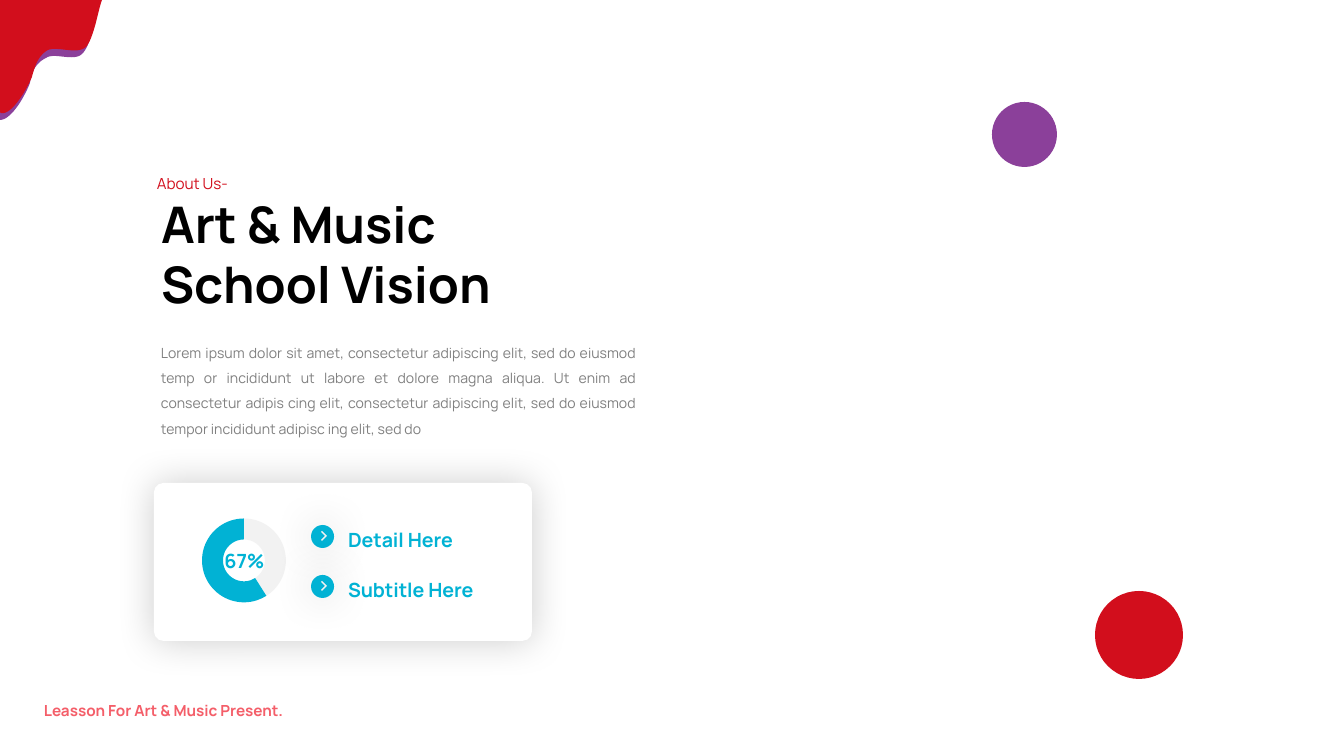
"""Build the Art & Music School vision slide with its detail card."""
from lxml import etree
from pptx import Presentation
from pptx.chart.data import CategoryChartData
from pptx.dml.color import RGBColor
from pptx.enum.chart import XL_CHART_TYPE
from pptx.enum.shapes import MSO_SHAPE
from pptx.enum.text import MSO_AUTO_SIZE, PP_ALIGN
from pptx.oxml.ns import qn
from pptx.util import Emu, Pt

DOUGHNUT = XL_CHART_TYPE.DOUGHNUT
ELLIPSE = MSO_SHAPE.OVAL
ROUNDED = MSO_SHAPE.ROUNDED_RECTANGLE
GROW = MSO_AUTO_SIZE.SHAPE_TO_FIT_TEXT
LEFT, CENTER, JUSTIFY = PP_ALIGN.LEFT, PP_ALIGN.CENTER, PP_ALIGN.JUSTIFY

SCALE = 914400 / 134.4
FONT = "Manrope"
CURVE_STEPS = 16
WIDE_INSETS, TIGHT_INSETS = (13, 7), (9, 5)
COLORS = {
    "red": "D20E1C", "purple": "8B409A", "coral": "F45E69", "cyan": "01B2D4",
    "black": "000000", "gray": "808080", "pale": "F2F2F2", "white": "FFFFFF",
}
PURPLE_SPLASH = [
    (0, 8), (98, 8), [(95, 19), (91, 46), (82, 54)], [(74, 62), (54, 52), (46, 58)],
    [(36, 63), (32, 71), (30, 83)], [(26, 94), (12, 120), (0, 120)],
]
RED_SPLASH = [
    (0, 112), (0, 0), (102, 0), [(98, 11), (94, 38), (86, 47)], [(77, 55), (58, 46), (48, 50)],
    [(39, 55), (35, 65), (32, 77)], [(28, 87), (12, 116), (1, 113)],
]
CHEVRON = [(10, 7), (11, 6), (16, 11), (11, 16), (10, 15), (14, 11)]
BODY = (
    "Lorem ipsum dolor sit amet, consectetur adipiscing elit, sed do eiusmod temp or "
    "incididunt ut labore et dolore magna aliqua. Ut enim ad consectetur adipis cing elit, "
    "consectetur adipiscing elit, sed do eiusmod tempor incididunt adipisc ing elit, sed do"
)


def px(length):
    """Turn pixels into EMU."""
    return Emu(round(length * SCALE))


def color(name):
    """Look up a palette colour."""
    return RGBColor.from_string(COLORS[name])


def paint(shape, fill):
    """Give a shape a plain fill without line or shadow."""
    shape.shadow.inherit = False
    shape.fill.solid()
    shape.fill.fore_color.rgb = color(fill)
    shape.line.fill.background()


def add_glow(shape, blur):
    """Give a shape a soft black shadow all around."""
    effects = shape.element.spPr.find(qn("a:effectLst"))
    shadow = etree.SubElement(effects, qn("a:outerShdw"), blurRad=str(Pt(blur)), dist="0", dir="0",
                              algn="ctr", rotWithShape="0")
    tint = etree.SubElement(shadow, qn("a:srgbClr"), val=COLORS["black"])
    etree.SubElement(tint, qn("a:alpha"), val="20000")


def add_preset(page, kind, frame, fill, blur=0):
    """Add a filled preset shape, with a glow if a blur is given."""
    shape = page.shapes.add_shape(kind, *map(px, frame))
    paint(shape, fill)
    if blur:
        add_glow(shape, blur)
    return shape


def curve_points(start, controls):
    """Sample a cubic curve that begins at start."""
    knots = [start, *controls]
    for step in range(1, CURVE_STEPS + 1):
        t = step / CURVE_STEPS
        weights = ((1 - t) ** 3, 3 * t * (1 - t) ** 2, 3 * t * t * (1 - t), t ** 3)
        yield tuple(sum(w * knot[axis] for w, knot in zip(weights, knots)) for axis in (0, 1))


def add_outline(shapes, outline, fill, left=0, top=0):
    """Add a closed outline made of points and cubic curves."""
    points = []
    for piece in outline:
        points.extend(curve_points(points[-1], piece) if isinstance(piece, list) else [piece])
    corners = [(px(left + x), px(top + y)) for x, y in points]
    builder = shapes.build_freeform(*corners[0], scale=1.0)
    builder.add_line_segments(corners[1:], close=True)
    paint(builder.convert_to_shape(), fill)


def add_text(page, frame, text, size, ink, bold=False, align=LEFT, spacing=None, insets=WIDE_INSETS):
    """Add a wrapped text box holding one run."""
    box = page.shapes.add_textbox(*map(px, frame))
    body = box.text_frame
    body.word_wrap = True
    body.auto_size = GROW
    body.margin_left = body.margin_right = px(insets[0])
    body.margin_top = body.margin_bottom = px(insets[1])
    para = body.paragraphs[0]
    para.alignment = align
    if spacing:
        para.line_spacing = spacing
    span = para.add_run()
    span.text = text
    span.font.name = FONT
    span.font.size = Pt(size)
    span.font.bold = bold
    span.font.color.rgb = color(ink)


def add_ring(page, frame, values, fills):
    """Add a doughnut chart with one colour per slice."""
    data = CategoryChartData()
    data.categories = [str(number) for number in range(1, len(values) + 1)]
    data.add_series("Series 1", values)
    chart = page.shapes.add_chart(DOUGHNUT, *map(px, frame), data).chart
    chart.has_legend = False
    chart.has_title = False
    chart.font.name = FONT
    chart.font.size = Pt(10)
    chart.font.color.rgb = color("black")
    plot = chart.plots[0]
    plot.vary_by_categories = True
    for index, fill in enumerate(fills):
        slice_format = plot.series[0].points[index].format
        slice_format.fill.solid()
        slice_format.fill.fore_color.rgb = color(fill)
        slice_format.line.fill.background()
    next(chart.element.iter(qn("c:holeSize"))).set("val", "75")


def add_detail(page, top, label):
    """Add a round chevron badge with its label."""
    left = 311
    add_preset(page, ELLIPSE, (left, top, 23, 23), "cyan", blur=23)
    add_outline(page.shapes, CHEVRON, "pale", left, top)
    add_text(page, (339, top - 14, 192, 46), label, 10.5, "cyan", bold=True,
             spacing=1.5, insets=TIGHT_INSETS)


def main():
    """Build and save the slide."""
    deck = Presentation()
    deck.slide_width, deck.slide_height = px(1344), px(756)
    page = deck.slides.add_slide(deck.slide_layouts[6])

    add_preset(page, ELLIPSE, (1095, 591, 88, 88), "red")
    add_preset(page, ELLIPSE, (992, 102, 65, 65), "purple")
    splash = page.shapes.add_group_shape().shapes
    add_outline(splash, PURPLE_SPLASH, "purple")
    add_outline(splash, RED_SPLASH, "red")

    add_text(page, (35, 687, 378, 38), "Leasson For Art & Music Present.", 8.2, "coral",
             bold=True, align=JUSTIFY, spacing=1.5, insets=TIGHT_INSETS)
    add_text(page, (148, 186, 384, 136), "Art & Music School Vision", 27, "black", bold=True)
    add_text(page, (148, 160, 169, 38), "About Us-", 8.2, "red",
             align=JUSTIFY, spacing=1.5, insets=TIGHT_INSETS)
    add_text(page, (148, 329, 501, 116), BODY, 7.5, "gray", align=JUSTIFY, spacing=1.5)

    card = add_preset(page, ROUNDED, (154, 483, 378, 158), "white", blur=21)
    card.adjustments[0] = 0.06
    add_ring(page, (183, 500, 122, 121), (41, 59), ("pale", "cyan"))
    add_text(page, (200, 542, 89, 38), "67%", 10.5, "cyan", bold=True, align=CENTER)
    for row, label in enumerate(("Detail Here", "Subtitle Here")):
        add_detail(page, 525 + 50 * row, label)

    deck.save("out.pptx")


if __name__ == "__main__":
    main()
